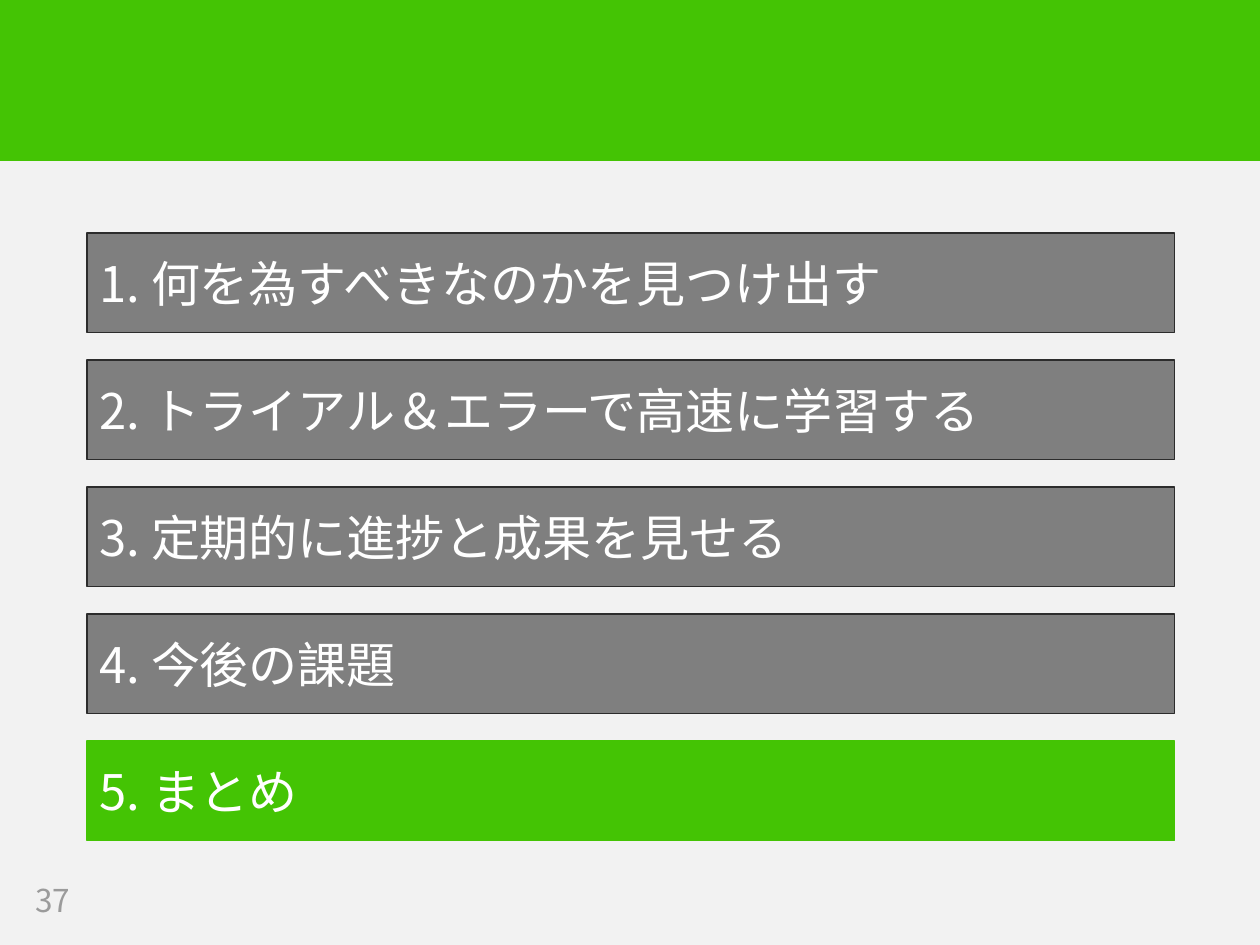
"""Build an agenda slide that highlights the closing section."""
from lxml.etree import SubElement
from pptx import Presentation
from pptx.dml.color import RGBColor
from pptx.enum.shapes import MSO_SHAPE
from pptx.enum.text import MSO_ANCHOR, PP_ALIGN
from pptx.oxml.ns import qn
from pptx.util import Inches, Pt

AGENDA = [
    "何を為すべきなのかを見つけ出す",
    "トライアル＆エラーで高速に学習する",
    "定期的に進捗と成果を見せる",
    "今後の課題",
    "まとめ",
]
CURRENT_SECTION = 5
PAGE_NUMBER = "37"

FONT = "Noto Sans CJK JP"
GREEN = RGBColor(0x44, 0xC4, 0x04)
GRAY = RGBColor(0x7F, 0x7F, 0x7F)
DARK = RGBColor(0x2C, 0x2C, 0x2C)
PALE = RGBColor(0xF2, 0xF2, 0xF2)
PAGE_GRAY = RGBColor(0x9B, 0x9B, 0x9B)
WHITE = RGBColor(0xFF, 0xFF, 0xFF)

BAR_LEFT, BAR_WIDTH, BAR_HEIGHT = 0.69, 8.63, 0.79
FIRST_TOP, LAST_TOP = 1.85, 5.88


def write_text(shape, text, *, size, color):
    frame = shape.text_frame
    frame.word_wrap = True
    frame.vertical_anchor = MSO_ANCHOR.MIDDLE
    paragraph = frame.paragraphs[0]
    paragraph.alignment = PP_ALIGN.LEFT
    run = paragraph.add_run()
    run.text = text
    run.font.size = Pt(size)
    run.font.name = FONT
    run.font.color.rgb = color
    SubElement(run.font._element, qn("a:ea")).set("typeface", FONT)


def add_bar(slide, left, top, width, height, *, fill, line, line_width):
    bar = slide.shapes.add_shape(
        MSO_SHAPE.RECTANGLE, Inches(left), Inches(top), Inches(width), Inches(height)
    )
    bar.shadow.inherit = False
    bar.fill.solid()
    bar.fill.fore_color.rgb = fill
    bar.line.color.rgb = line
    bar.line.width = Pt(line_width)
    return bar


def main():
    presentation = Presentation()
    presentation.slide_width, presentation.slide_height = Inches(10), Inches(7.5)
    slide = presentation.slides.add_slide(presentation.slide_layouts[6])
    slide.background.fill.solid()
    slide.background.fill.fore_color.rgb = PALE

    add_bar(slide, 0, -0.01, 10, 1.28, fill=GREEN, line=GREEN, line_width=1)
    page_box = slide.shapes.add_textbox(
        Inches(0.18), Inches(6.95), Inches(0.79), Inches(0.39)
    )
    write_text(page_box, PAGE_NUMBER, size=18, color=PAGE_GRAY)

    pitch = (LAST_TOP - FIRST_TOP) / (len(AGENDA) - 1)
    for number, section in enumerate(AGENDA, start=1):
        fill, line = (GREEN, GREEN) if number == CURRENT_SECTION else (GRAY, DARK)
        top = FIRST_TOP + (number - 1) * pitch
        bar = add_bar(slide, BAR_LEFT, top, BAR_WIDTH, BAR_HEIGHT,
                      fill=fill, line=line, line_width=0.75)
        write_text(bar, f"{number}. {section}", size=28, color=WHITE)

    presentation.save("out.pptx")


if __name__ == "__main__":
    main()
